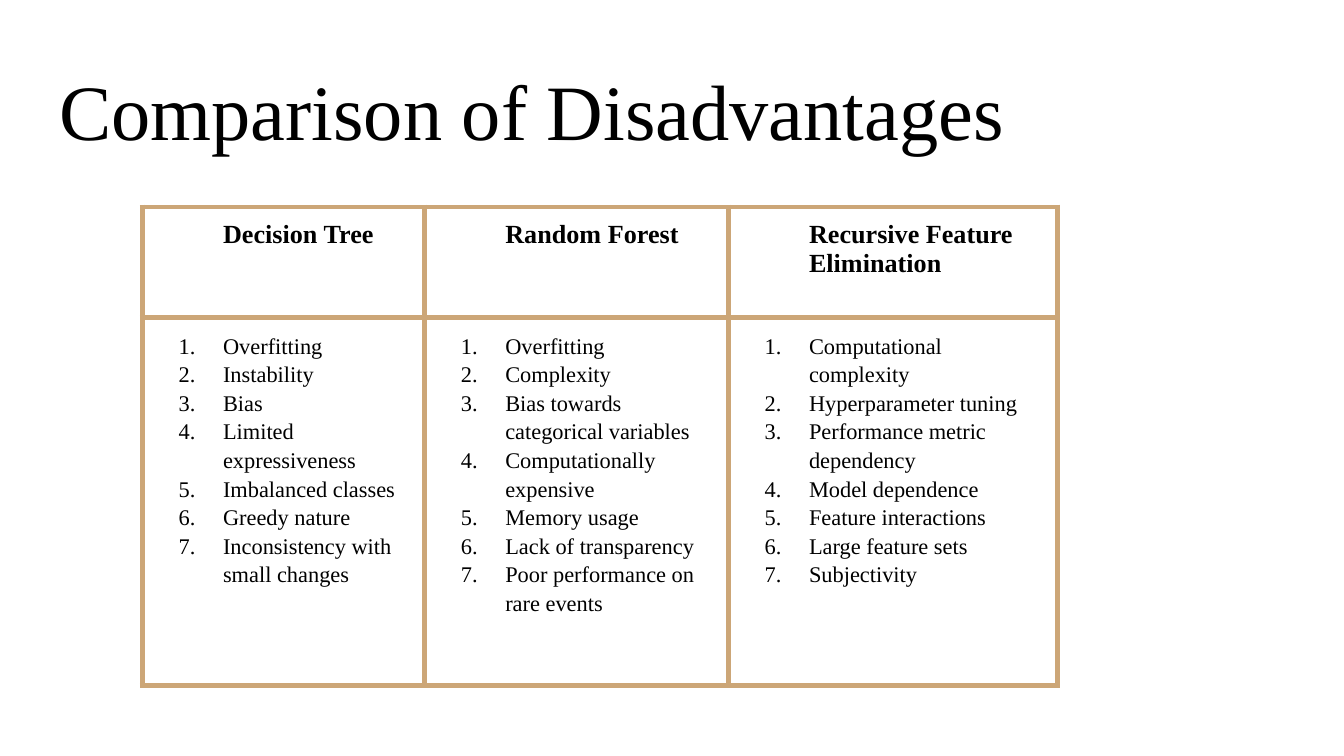
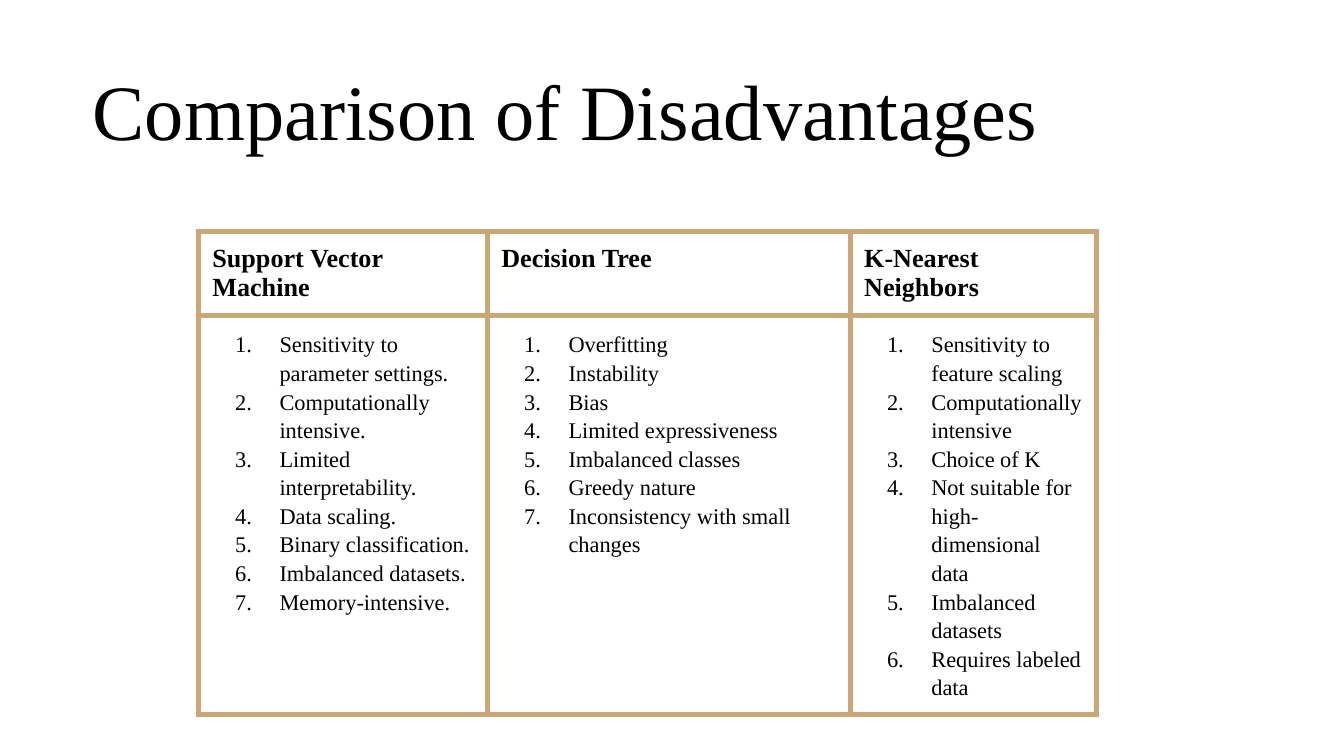
from dataclasses import dataclass

from lxml import etree
from pptx import Presentation, util as u
from pptx.dml.color import RGBColor
from pptx.enum import text
from pptx.oxml import ns

# Shared look
COLORS = {"ink": "000000", "border": "CCA677", "page": "FFFFFF"}
FONT = "Times New Roman"
TITLE = "Comparison of Disadvantages"
TITLE_SIZE, HEADER_SIZE, ITEM_SIZE = 42, 14, 12
PAGE_WIDTH = u.Inches(10)
PAGE_HEIGHT = PAGE_WIDTH * 9 // 16
BORDER_WIDTH = u.Pt(3)
INSET = u.Inches(0.1)
TEXT_INDENT = u.Inches(0.5)
NUMBER_INDENT = u.Inches(-0.33)


@dataclass
class Method:
    name: str
    width: float
    drawbacks: list[str]


@dataclass
class Comparison:
    title_left: float
    left: float
    top: float
    row_heights: tuple[float, float]
    header_indent: int
    methods: list[Method]


# Content
TREE_DRAWBACKS = [
    "Overfitting", "Instability", "Bias", "Limited expressiveness",
    "Imbalanced classes", "Greedy nature", "Inconsistency with small changes",
]

COMPARISONS = [
    Comparison(0.34, 1.06, 1.54, (0.82, 2.74), TEXT_INDENT, [
        Method("Decision Tree", 2.1, TREE_DRAWBACKS),
        Method("Random Forest", 2.26, [
            "Overfitting", "Complexity", "Bias towards categorical variables",
            "Computationally expensive", "Memory usage",
            "Lack of transparency", "Poor performance on rare events",
        ]),
        Method("Recursive Feature Elimination", 2.45, [
            "Computational complexity", "Hyperparameter tuning",
            "Performance metric dependency", "Model dependence",
            "Feature interactions", "Large feature sets", "Subjectivity",
        ]),
    ]),
    Comparison(0.59, 1.48, 1.72, (0.49, 2.82), 0, [
        Method("Support Vector Machine", 2.15, [
            "Sensitivity to parameter settings.", "Computationally intensive.",
            "Limited interpretability.", "Data scaling.",
            "Binary classification.", "Imbalanced datasets.",
            "Memory-intensive.",
        ]),
        Method("Decision Tree", 2.7, TREE_DRAWBACKS),
        Method("K-Nearest Neighbors", 1.83, [
            "Sensitivity to feature scaling", "Computationally intensive",
            "Choice of K", "Not suitable for high-dimensional data",
            "Imbalanced datasets", "Requires labeled data",
        ]),
    ]),
]


# Text helpers
def add_span(para, words: str, size: float, bold: bool = False) -> None:
    span = para.add_run()
    span.text = words
    span.font.name = FONT
    span.font.size = u.Pt(size)
    span.font.bold = bold
    span.font.color.rgb = RGBColor.from_string(COLORS["ink"])


def set_indent(para, margin: int, first_line: int = 0) -> None:
    props = para._p.get_or_add_pPr()
    props.set("marL", str(margin))
    props.set("indent", str(first_line))


def number_para(para) -> None:
    set_indent(para, TEXT_INDENT, NUMBER_INDENT)
    props = para._p.get_or_add_pPr()
    color = etree.SubElement(props, ns.qn("a:buClr"))
    etree.SubElement(color, ns.qn("a:srgbClr"), val=COLORS["ink"])
    etree.SubElement(props, ns.qn("a:buFont"), typeface=FONT)
    etree.SubElement(props, ns.qn("a:buAutoNum"), type="arabicPeriod")


def set_insets(box) -> None:
    box.margin_left = box.margin_right = INSET
    box.margin_top = box.margin_bottom = INSET


# Table helpers
def style_cell(cell) -> None:
    set_insets(cell)
    cell.vertical_anchor = text.MSO_ANCHOR.TOP
    cell.fill.background()
    props = cell._tc.get_or_add_tcPr()
    for index, side in enumerate(("a:lnL", "a:lnR", "a:lnT", "a:lnB")):
        line = etree.Element(ns.qn(side), w=str(BORDER_WIDTH))
        fill = etree.SubElement(line, ns.qn("a:solidFill"))
        etree.SubElement(fill, ns.qn("a:srgbClr"), val=COLORS["border"])
        props.insert(index, line)


def fill_header(cell, name: str, indent: int) -> None:
    style_cell(cell)
    para = cell.text_frame.paragraphs[0]
    set_indent(para, indent)
    add_span(para, name, HEADER_SIZE, bold=True)


def fill_list(cell, items: list[str]) -> None:
    style_cell(cell)
    frame = cell.text_frame
    for index, item in enumerate(items):
        para = frame.add_paragraph() if index else frame.paragraphs[0]
        para.line_spacing = 1.15
        para.space_before = u.Pt(0 if index else 15)
        number_para(para)
        add_span(para, item, ITEM_SIZE)


# Page parts
def add_title(page, left: float) -> None:
    box = page.shapes.title
    box.left, box.top = u.Inches(left), u.Inches(0.35)
    box.width, box.height = u.Inches(9.32), u.Inches(0.91)
    frame = box.text_frame
    set_insets(frame)
    frame.word_wrap = True
    frame.auto_size = text.MSO_AUTO_SIZE.NONE
    frame.vertical_anchor = text.MSO_ANCHOR.BOTTOM
    para = frame.paragraphs[0]
    para.alignment = text.PP_ALIGN.LEFT
    add_span(para, TITLE, TITLE_SIZE)


def add_comparison_table(page, comparison: Comparison) -> None:
    methods = comparison.methods
    table = page.shapes.add_table(
        2, len(methods),
        u.Inches(comparison.left), u.Inches(comparison.top),
        u.Inches(sum(method.width for method in methods)),
        u.Inches(sum(comparison.row_heights)),
    ).table
    table.first_row = table.horz_banding = False
    for row, height in zip(table.rows, comparison.row_heights):
        row.height = u.Inches(height)
    for column, method in enumerate(methods):
        table.columns[column].width = u.Inches(method.width)
        fill_header(table.cell(0, column), method.name, comparison.header_indent)
        fill_list(table.cell(1, column), method.drawbacks)


def add_page(deck, comparison: Comparison) -> None:
    page = deck.slides.add_slide(deck.slide_layouts.get_by_name("Title Only"))
    page.background.fill.solid()
    page.background.fill.fore_color.rgb = RGBColor.from_string(COLORS["page"])
    add_title(page, comparison.title_left)
    add_comparison_table(page, comparison)


def main() -> None:
    deck = Presentation()
    deck.slide_width, deck.slide_height = PAGE_WIDTH, PAGE_HEIGHT
    for comparison in COMPARISONS:
        add_page(deck, comparison)
    deck.save("out.pptx")


if __name__ == "__main__":
    main()
